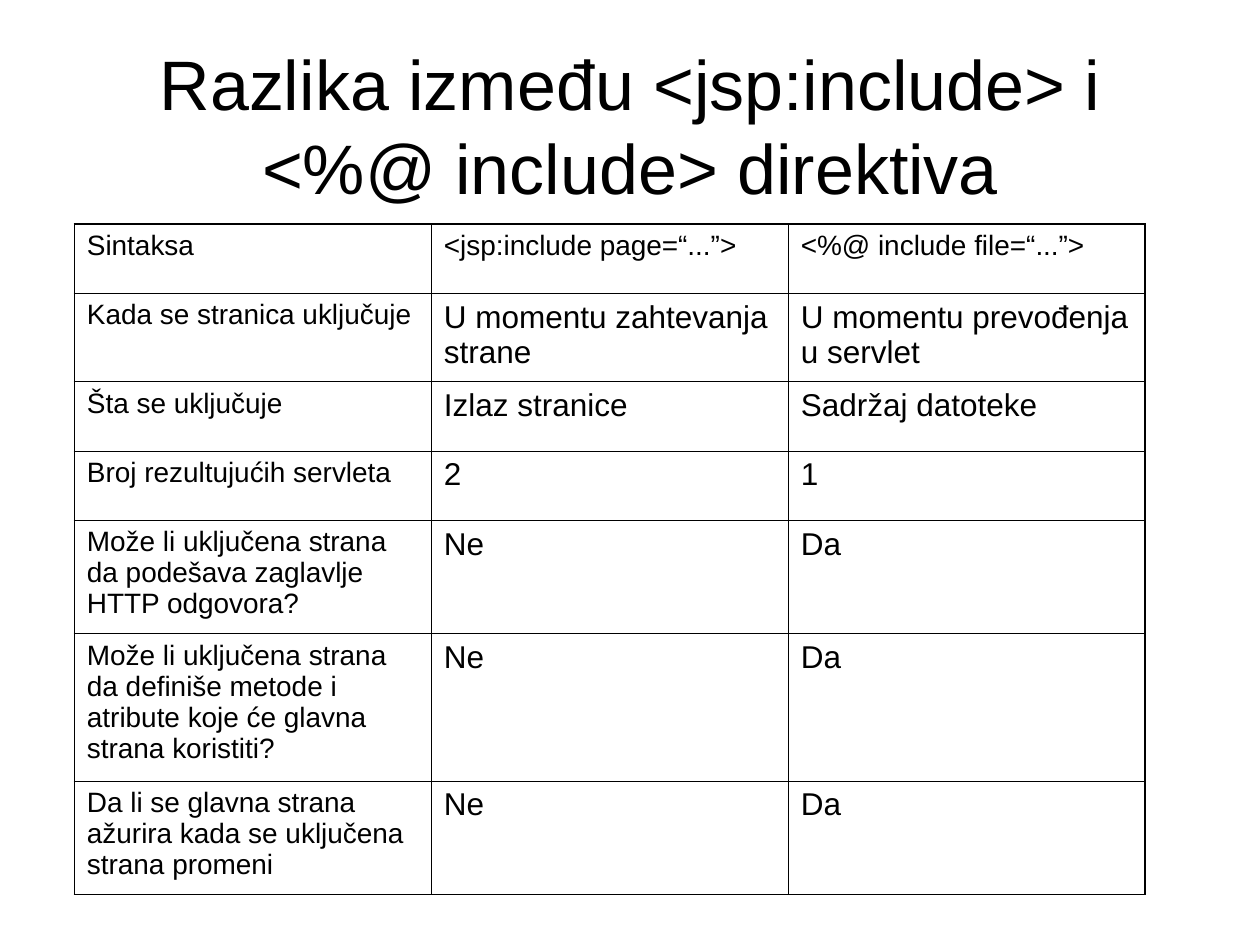
from dataclasses import dataclass

from lxml.etree import SubElement
from pptx import Presentation
from pptx.dml.color import RGBColor
from pptx.enum.text import MSO_ANCHOR, PP_ALIGN
from pptx.oxml.ns import qn
from pptx.slide import Slide
from pptx.table import Table, _Cell
from pptx.text.text import _Paragraph
from pptx.util import Pt

COLORS = {"ink": "000000"}
FONT = "Arial"
THIN, THICK = 0.45, 1.08
COL_WIDTH = 204
LABEL_SIZE, VALUE_SIZE = 16, 18


@dataclass(frozen=True)
class Row:
    height: float
    label: str
    action: str
    directive: str
    size: float = VALUE_SIZE


ROWS = [
    Row(39.6, "Sintaksa", "<jsp:include page=“...”>", "<%@ include file=“...”>", LABEL_SIZE),
    Row(50.4, "Kada se stranica uključuje", "U momentu zahtevanja strane",
        "U momentu prevođenja u servlet"),
    Row(39.6, "Šta se uključuje", "Izlaz stranice", "Sadržaj datoteke"),
    Row(39.6, "Broj rezultujućih servleta", "2", "1"),
    Row(64.8, "Može li uključena strana da podešava zaglavlje HTTP odgovora?", "Ne", "Da"),
    Row(84.24, "Može li uključena strana da definiše metode i atribute koje će "
        "glavna strana koristiti?", "Ne", "Da"),
    Row(64.8, "Da li se glavna strana ažurira kada se uključena strana promeni", "Ne", "Da"),
]


def add_run(para: _Paragraph, text: str, size: float) -> None:
    run = para.add_run()
    run.text = text
    run.font.name = FONT
    run.font.size = Pt(size)
    run.font.color.rgb = RGBColor.from_string(COLORS["ink"])


def add_title(slide: Slide, text: str) -> None:
    frame = slide.shapes.add_textbox(Pt(54), Pt(26), Pt(612), Pt(90)).text_frame
    frame.word_wrap = True
    frame.vertical_anchor = MSO_ANCHOR.MIDDLE
    para = frame.paragraphs[0]
    para.alignment = PP_ALIGN.CENTER
    add_run(para, text, 40)


def set_edges(cell: _Cell, row: int, col: int) -> None:
    """Rule all four sides, heavier on the outside of the table."""
    outer = {"L": col == 0, "R": col == 2, "T": row == 0, "B": row == len(ROWS) - 1}
    props = cell._tc.get_or_add_tcPr()
    for side, thick in outer.items():
        line = SubElement(props, qn(f"a:ln{side}"), w=str(Pt(THICK if thick else THIN)))
        fill = SubElement(line, qn("a:solidFill"))
        SubElement(fill, qn("a:srgbClr"), val=COLORS["ink"])


def fill_row(table: Table, index: int, row: Row) -> None:
    table.rows[index].height = Pt(row.height)
    for col, text in enumerate((row.label, row.action, row.directive)):
        cell = table.cell(index, col)
        set_edges(cell, index, col)
        cell.fill.background()
        size = row.size if col else LABEL_SIZE
        add_run(cell.text_frame.paragraphs[0], text, size)


def add_grid(slide: Slide) -> None:
    height = sum(row.height for row in ROWS)
    table = slide.shapes.add_table(
        len(ROWS), 3, Pt(42.5), Pt(128), Pt(3 * COL_WIDTH), Pt(height)).table
    table.first_row = False
    table.horz_banding = False
    for column in table.columns:
        column.width = Pt(COL_WIDTH)
    for index, row in enumerate(ROWS):
        fill_row(table, index, row)


def main() -> None:
    deck = Presentation()
    deck.slide_width, deck.slide_height = Pt(720), Pt(540)
    slide = deck.slides.add_slide(deck.slide_layouts[6])
    add_title(slide, "Razlika između <jsp:include> i <%@ include> direktiva")
    add_grid(slide)
    deck.save("out.pptx")


if __name__ == "__main__":
    main()
